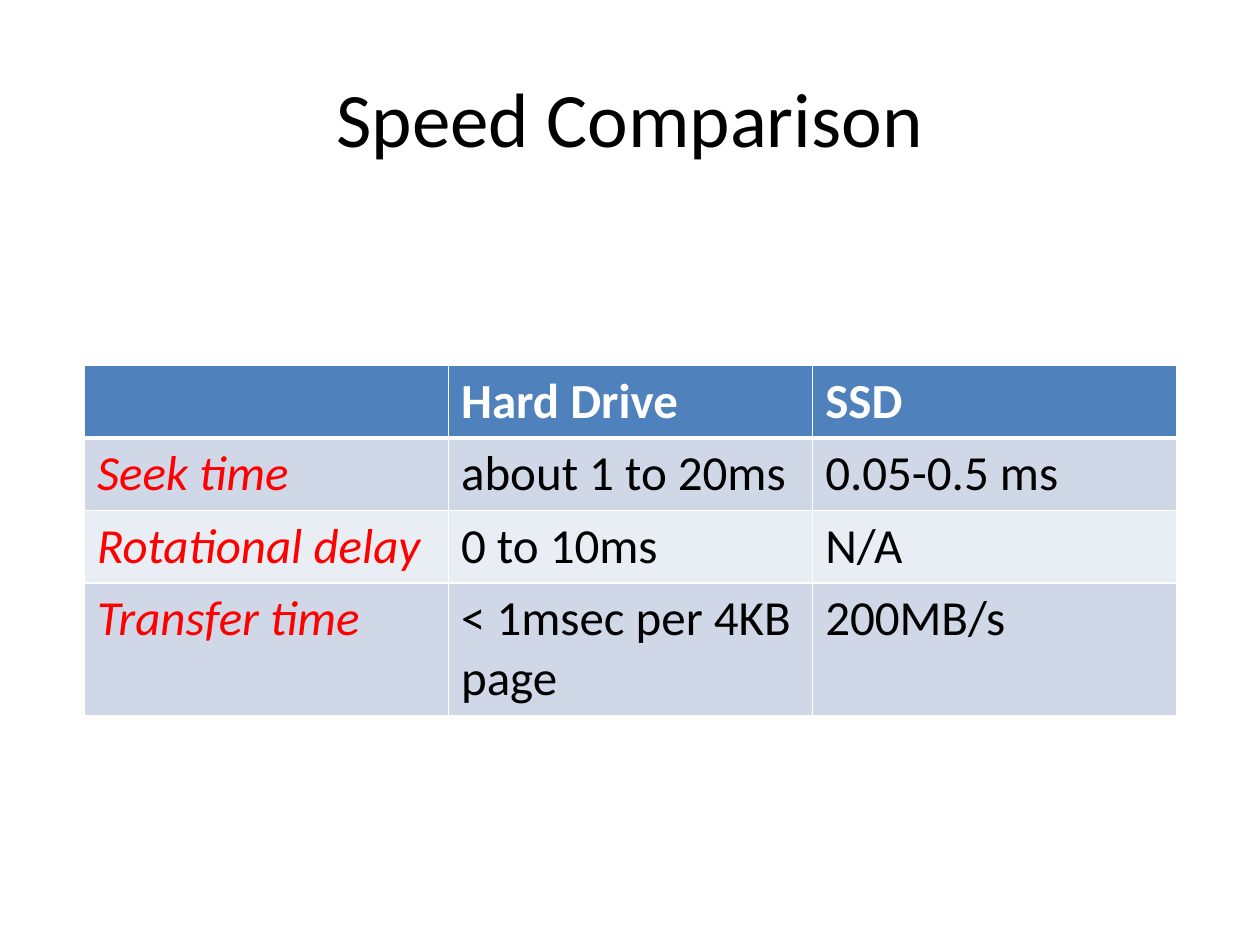
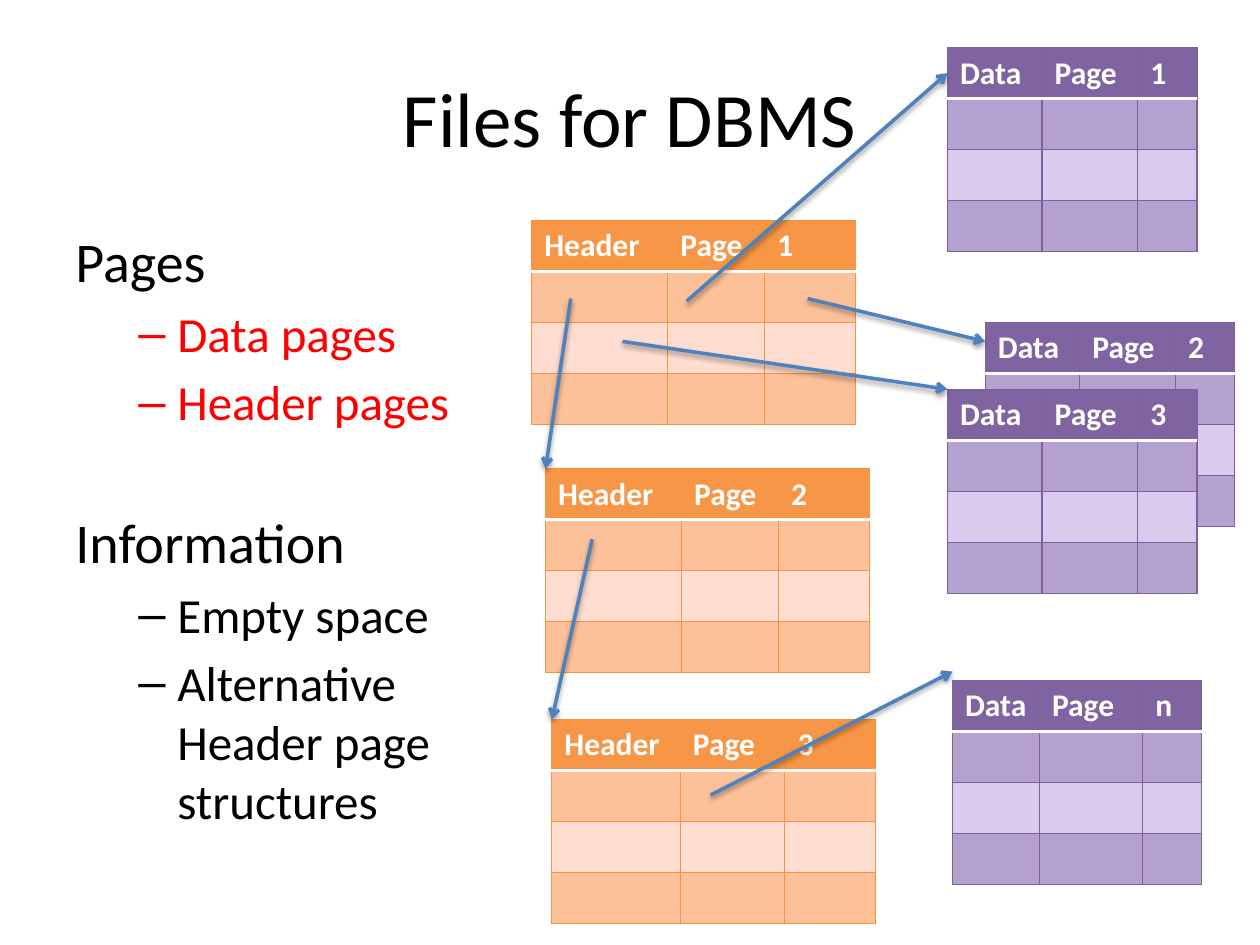
from lxml import etree
from pptx import Presentation
from pptx.dml.color import RGBColor as Rgb
from pptx.enum.shapes import MSO_CONNECTOR as Conn
from pptx.enum.text import MSO_ANCHOR as Anchor, PP_ALIGN as Align
from pptx.oxml import parse_xml
from pptx.oxml.ns import nsdecls, qn
from pptx.util import Inches, Pt

FONT = "Calibri"
INK = {
    "text": "000000", "mark": "FF0000", "white": "FFFFFF", "blue": "4F81BD",
    "blue_dark": "D0D8E8", "blue_light": "E9EDF4",
    "orange": "F79646", "orange_line": "F69240",
    "orange_dark": "FCC199", "orange_light": "FFDDD0",
    "purple": "8064A2", "purple_line": "7D60A0",
    "purple_dark": "B5A1D0", "purple_light": "DACAEE",
}


class Deck:
    def __init__(self):
        self.prs = Presentation()
        self.prs.slide_width, self.prs.slide_height = Inches(10), Inches(7.5)
        self.slide = None

    def start(self, title):
        self.slide = self.prs.slides.add_slide(self.prs.slide_layouts[5])
        box = self.slide.shapes.title
        box.left, box.top = Inches(0.5), Inches(0.3)
        box.width, box.height = Inches(9), Inches(1.25)
        frame = box.text_frame
        frame.text = title
        frame.vertical_anchor = Anchor.MIDDLE
        frame.paragraphs[0].alignment = Align.CENTER
        self.style(frame.paragraphs[0], 44)

    def style(self, para, size, ink="text", bold=False, italic=False):
        for run in para.runs:
            font = run.font
            font.name, font.size = FONT, Pt(size)
            font.bold, font.italic = bold, italic
            font.color.rgb = Rgb.from_string(INK[ink])

    def outline(self, left, top, width, height, groups):
        """Write headings, each followed by its dashed items."""
        box = self.slide.shapes.add_textbox(
            Inches(left), Inches(top), Inches(width), Inches(height))
        frame = box.text_frame
        frame.word_wrap = True
        for i, (head, ink, items) in enumerate(groups):
            para = frame.add_paragraph() if i else frame.paragraphs[0]
            para.text = head
            if i:
                para.space_before = Pt(44)
            self.style(para, 32)
            for item in items:
                para = frame.add_paragraph()
                para.text = item
                para.space_before = Pt(5.4)
                self.dash(para)
                self.style(para, 28, ink)

    def dash(self, para):
        props = para._p.get_or_add_pPr()
        props.set("marL", str(Inches(0.81)))
        props.set("indent", str(-Inches(0.31)))
        etree.SubElement(props, qn("a:buFont")).set("typeface", "Arial")
        etree.SubElement(props, qn("a:buChar")).set("char", "–")

    def edge(self, cell, side, ink, width):
        cell._tc.get_or_add_tcPr().append(parse_xml(
            f'<a:ln{side} {nsdecls("a")} w="{Pt(width)}"><a:solidFill>'
            f'<a:srgbClr val="{INK[ink]}"/></a:solidFill></a:ln{side}>'))

    def table(self, left, top, cols, rows, data, hue, line, rule, size):
        """Draw a banded table; line and rule are (ink, width) of grid and header rule."""
        shape = self.slide.shapes.add_table(
            len(rows), len(cols), Inches(left), Inches(top),
            Inches(sum(cols)), Inches(sum(rows)))
        grid = shape.table
        grid.first_row = grid.horz_banding = False
        for col, width in zip(grid.columns, cols):
            col.width = Inches(width)
        for r, height in enumerate(rows):
            grid.rows[r].height = Inches(height)
            fill = hue if r == 0 else hue + ("_dark" if r % 2 else "_light")
            for c, text in enumerate(data[r]):
                cell = grid.cell(r, c)
                for side in "LRTB":
                    under = (r, side) in ((0, "B"), (1, "T"))
                    self.edge(cell, side, *(rule if under else line))
                cell.fill.solid()
                cell.fill.fore_color.rgb = Rgb.from_string(INK[fill])
                if not text:
                    continue
                cell.text_frame.text = text
                para = cell.text_frame.paragraphs[0]
                if r == 0:
                    self.style(para, size, "white", bold=True)
                elif c == 0:
                    self.style(para, size, "mark", italic=True)
                else:
                    self.style(para, size)

    def page(self, left, top, kind, mark, shift=0):
        """Draw a four-row page block; shift moves its first column edge."""
        hue, (first, mid, last) = {
            "Header": ("orange", (1.08, 0.77, 0.72)),
            "Data": ("purple", (0.75, 0.76, 0.47)),
        }[kind]
        data = [(kind, "Page", mark)] + [("", "", "")] * 3
        self.table(left, top, (first + shift, mid - shift, last), [1.62 / 4] * 4,
                   data, hue, (hue + "_line", 0.75), ("white", 2), 18)

    def arrow(self, start, end):
        link = self.slide.shapes.add_connector(
            Conn.STRAIGHT, *(Inches(v) for v in start + end))
        link.line.width = Pt(2)
        link.line.color.rgb = Rgb.from_string(INK["blue"])
        etree.SubElement(link.line._get_or_add_ln(), qn("a:tailEnd")).set("type", "arrow")
        link._element.spPr.append(parse_xml(
            f'<a:effectLst {nsdecls("a")}><a:outerShdw blurRad="{Pt(3.1)}" '
            f'dist="{Pt(1.6)}" dir="5400000" rotWithShape="0"><a:srgbClr val="000000">'
            '<a:alpha val="38000"/></a:srgbClr></a:outerShdw></a:effectLst>'))


def speed(deck):
    deck.start("Speed Comparison")
    data = [
        ("", "Hard Drive", "SSD"),
        ("Seek time", "about 1 to 20ms", "0.05-0.5 ms"),
        ("Rotational delay", "0 to 10ms", "N/A"),
        ("Transfer time", "< 1msec per 4KB page", "200MB/s"),
    ]
    deck.table(0.67, 2.9, [2.89] * 3, [0.41] * 4, data, "blue",
               ("white", 1), ("white", 3), 28)


def files(deck):
    deck.start("Files for DBMS")
    deck.outline(0.5, 1.75, 3.37, 5.39, [
        ("Pages", "mark", ["Data pages", "Header pages"]),
        ("Information", "text", ["Empty space", "Alternative Header page structures"]),
    ])
    for block in (
        (4.22, 1.75, "Header", "1"),
        (4.33, 3.72, "Header", "2"),
        (4.38, 5.71, "Header", "3", -0.06),
        (7.52, 0.38, "Data", "1"),
        (7.82, 2.56, "Data", "2"),
        (7.52, 3.09, "Data", "3"),
        (7.56, 5.4, "Data", "n", -0.06),
    ):
        deck.page(*block)
    for start, end in (
        ((4.53, 2.37), (4.33, 3.72)),
        ((6.41, 2.37), (7.82, 2.71)),
        ((4.7, 4.28), (4.38, 5.71)),
        ((5.45, 2.39), (7.52, 0.58)),
        ((4.94, 2.71), (7.52, 3.09)),
        ((5.64, 6.31), (7.56, 5.33)),
    ):
        deck.arrow(start, end)


def main():
    deck = Deck()
    speed(deck)
    files(deck)
    deck.prs.save("out.pptx")


if __name__ == "__main__":
    main()
